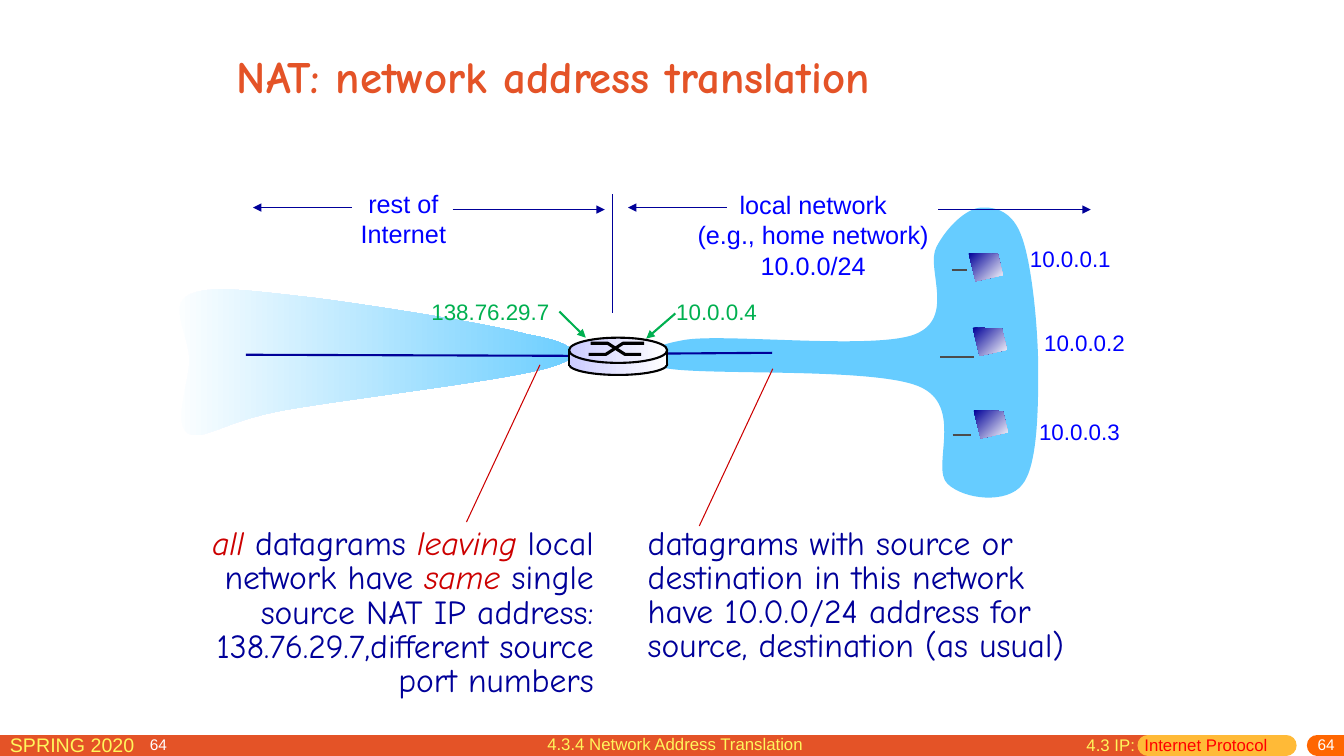
import pptx
import pptx.util
import pptx.dml.color
import pptx.enum.shapes
import pptx.enum.text
import pptx.oxml.ns
from lxml import etree

Pt = pptx.util.Pt
qn = pptx.oxml.ns.qn
ALIGN = pptx.enum.text.PP_ALIGN
ANCHOR = pptx.enum.text.MSO_ANCHOR
FIT = pptx.enum.text.MSO_AUTO_SIZE
SHAPE = pptx.enum.shapes.MSO_SHAPE
COLORS = {
    "orange": "E45327", "gold": "FFBA37", "badge": "FF6600", "lemon": "FFF65C",
    "white": "FFFFFF", "black": "000000", "sky": "66CCFF", "lilac": "CCCCFF",
    "navy": "000099", "blue": "0000FF", "green": "00B050", "gray": "4C4C4C",
    "crimson": "CC0000", "red": "FF0000",
}


def rgb(name):
    """Return the named colour."""
    return pptx.dml.color.RGBColor.from_string(COLORS[name])


def write(tf, paragraphs, size=16, color="blue", font="Arial", bold=False,
          align=ALIGN.LEFT, spacing=None, anchor=ANCHOR.TOP, wrap=True, grow=False):
    """Fill a text frame; each paragraph is a list of (text, format) runs."""
    tf.word_wrap = wrap
    tf.auto_size = FIT.SHAPE_TO_FIT_TEXT if grow else FIT.NONE
    tf.vertical_anchor = anchor
    for i, runs in enumerate(paragraphs):
        p = tf.paragraphs[0] if i == 0 else tf.add_paragraph()
        p.alignment = align
        p.line_spacing = spacing
        for words, fmt in runs:
            r = p.add_run()
            r.text = words
            r.font.name, r.font.size, r.font.bold = font, Pt(size), bold
            r.font.italic = fmt.get("italic", False)
            r.font.color.rgb = rgb(fmt.get("color", color))


def text(shapes, box, *lines, **fmt):
    """Add a text box holding one paragraph per line."""
    tf = shapes.add_textbox(*map(Pt, box)).text_frame
    write(tf, [[(t, {})] if isinstance(t, str) else t for t in lines], **fmt)
    return tf


def line(shapes, x1, y1, x2, y2, color="navy", width=1.5, arrow=False, cap="flat"):
    """Add a straight line, with an arrowhead at its end if asked."""
    c = shapes.add_connector(pptx.enum.shapes.MSO_CONNECTOR.STRAIGHT,
                             Pt(x1), Pt(y1), Pt(x2), Pt(y2))
    c.line.color.rgb = rgb(color)
    c.line.width = Pt(width)
    ln = c.element.spPr.find(qn("a:ln"))
    ln.set("cap", cap)
    if arrow:
        etree.SubElement(ln, qn("a:tailEnd")).set("type", "triangle")
    etree.SubElement(c.element.spPr, qn("a:effectLst"))


def paint(sp, fill=None, angle=0, outline=None, width=1.5):
    """Set a plain, two-colour or empty fill and the outline of a shape."""
    sp.shadow.inherit = False
    if fill is None:
        sp.fill.background()
    elif isinstance(fill, tuple):
        sp.fill.gradient()
        sp.fill.gradient_angle = angle
        for stop, name in zip(sp.fill.gradient_stops, fill):
            stop.color.rgb = rgb(name)
    else:
        sp.fill.solid()
        sp.fill.fore_color.rgb = rgb(fill)
    if outline:
        sp.line.color.rgb = rgb(outline)
        sp.line.width = Pt(width)
    else:
        sp.line.fill.background()


def outline(shapes, x, y, points, close=True, **look):
    """Draw a straight-sided outline through points measured from (x, y)."""
    pts = [(Pt(x + dx), Pt(y + dy)) for dx, dy in points]
    fb = shapes.build_freeform(*pts[0], scale=1.0)
    fb.add_line_segments(pts[1:], close=close)
    sp = fb.convert_to_shape()
    paint(sp, **look)
    return sp


def blob(shapes, x, y, start, curves, **look):
    """Draw a closed outline of cubic curves, each two controls and an end."""
    points = [start] + [c[i:i + 2] for c in curves for i in (0, 2, 4)]
    sp = outline(shapes, x, y, points, **look)
    sides = list(sp.element.iter(qn("a:lnTo")))
    for trio in zip(sides[::3], sides[1::3], sides[2::3]):
        bend = etree.Element(qn("a:cubicBezTo"))
        trio[0].addprevious(bend)
        for side in trio:
            bend.append(side[0])
            side.getparent().remove(side)


def title(s, box):
    """Place the slide title."""
    sp = s.shapes.title
    sp.left, sp.top, sp.width, sp.height = map(Pt, box)
    write(sp.text_frame, [[("NAT: network address translation", {})]], size=32,
          color="orange", font="Comic Neue", bold=True, anchor=ANCHOR.MIDDLE)


def footer(s, x, y):
    """Draw the footer bar and its labels from its top left corner."""
    for x1, x2, color, cap in ((-13, 820, "orange", "flat"), (820, 918.7, "gold", "rnd"),
                               (941, 979, "badge", "rnd")):
        line(s.shapes, x + x1, y + 7.5, x + x2, y + 7.5, color, 15, cap=cap)
    text(s.shapes, (x, y - 5, 165, 22.3), "SPRING 2020", size=14, color="lemon")
    for dx, dy, w, h, align in ((774, 2.2, 186.5, 13, ALIGN.RIGHT),
                                (100, 2.9, 39.6, 10.8, ALIGN.LEFT)):
        tf = text(s.shapes, (x + dx, y + dy, w, h), "64", size=11, color="white",
                  align=align, anchor=ANCHOR.MIDDLE)
        tf.margin_top = 0
    text(s.shapes, (x + 769, y - 3.5, 158.4, 22.3),
         [("4.3 IP: ", {}), (" Internet Protocol", {"color": "red"})],
         size=12, color="lemon")
    text(s.shapes, (x + 383.8, y - 4.2, 231, 22.3), "4.3.4 Network Address Translation",
         size=12, color="lemon")


def internet(s, x, y):
    """Draw the fading outside network and its link."""
    blob(s.shapes, x, y, (257, 36), [
        (228.2, 28.1, 141.1, 14.4, 100.8, 9.4), (60.5, 5, 28.8, 0, 14.4, 7.9),
        (0, 15.1, 15.1, 37.4, 15.1, 54), (15.1, 70.6, 2.9, 100.1, 14.4, 106.6),
        (25.2, 112.3, 39.6, 97.9, 82.8, 90), (126, 82.1, 244.8, 68.4, 273.6, 59),
        (303.1, 50.4, 286.6, 41, 257, 36)], fill=("white", "sky"))
    line(s.shapes, x + 55.5, y + 50.4, x + 293.8, y + 51.2)


def local_network(s, x, y):
    """Draw the local network with its link and hosts."""
    blob(s.shapes, x, y, (43.2, 95), [
        (73.4, 90.7, 176.4, 102.2, 205.9, 91.4), (236.2, 79.9, 213.8, 43.9, 221.8, 28.8),
        (229.7, 13.7, 243.4, 1.4, 253.4, 0.7), (263.5, 0, 276.5, 2.9, 283, 22.3),
        (290.2, 42.5, 294.5, 87.8, 294.5, 117.4), (294.5, 146.9, 293.8, 185.8, 283, 198.7),
        (272.2, 212.4, 241.9, 209.5, 229.7, 198), (217.4, 186.5, 242.6, 141.8, 208.8, 128.2),
        (175, 114.5, 54.7, 121, 27.4, 115.2), (0, 109.4, 15.8, 99.4, 43.2, 95)], fill="sky")
    line(s.shapes, x + 8.6, y + 105.1, x + 104.4, y + 104.4)
    hosts = (((244.8, 33.1), (232.6, 243.4, 45.4), (281.5, 23.8)),
             ((247.7, 86.4), (224.7, 248.4, 107.3), (291.6, 84.2)),
             ((248.4, 145.4), (233.3, 246.3, 163.4), (288, 147.6)))
    for n, ((mx, my), (x1, x2, wy), (tx, ty)) in enumerate(hosts, 1):
        line(s.shapes, x + x1, y + wy, x + x2, y + wy, "gray")
        outline(s.shapes, x + mx, y + my, [(0, 0), (20.9, 0.7), (24.5, 15.8), (5, 20.2)],
                fill=("navy", "white"), angle=315)
        text(s.shapes, (x + tx, y + ty, 72.7, 26.6), f"10.0.0.{n}", wrap=False, grow=True)


def router(s, x, y, w):
    """Draw the router as a group of the given width."""
    shapes = s.shapes.add_group_shape().shapes
    for kind, dy, h, edge in ((SHAPE.OVAL, 11.5, 15.1, "black"),
                              (SHAPE.RECTANGLE, 10.1, 9.4, None),
                              (SHAPE.OVAL, 0, 18, "black")):
        sp = shapes.add_shape(kind, Pt(x), Pt(y + dy), Pt(w), Pt(h))
        paint(sp, fill=("lilac", "white"), outline=edge)
    for xs, y1, y2 in (((14.1, 26.4, 38.6, 53.7), 11.9, 4), ((15.5, 27.7, 40, 51.5), 4, 11.9)):
        outline(shapes, x, y, list(zip(xs, (y1, y1, y2, y2))), close=False,
                outline="black", width=2.25)
    for side in (x, x + w):
        line(shapes, side, y + 8.3, side, y + 20.2, "black")


def scopes(s, x, y):
    """Label the two sides of the router with spans around a divider."""
    for x1, x2, dy in ((489.6, 598.4, 11), (338.4, 267.9, 9.6),
                       (142.6, 251.3, 11), (70.6, 0, 9.6)):
        line(s.shapes, x + x1, y + dy, x + x2, y + dy, width=0.75, arrow=True)
    line(s.shapes, x + 257, y, x + 257, y + 85, width=0.75)
    style = dict(size=18, align=ALIGN.CENTER, wrap=False, grow=True)
    text(s.shapes, (x + 310.5, y - 6.9, 179.3, 72), "local network",
         "(e.g., home network)", "10.0.0/24", **style)
    text(s.shapes, (x + 69.6, y - 7.7, 75.6, 50.4), "rest of", "Internet", **style)


def interfaces(s, x, y):
    """Label both router addresses with arrows."""
    for dx, w, address in ((0, 99.4, "138.76.29.7"), (174.9, 72.7, "10.0.0.4")):
        text(s.shapes, (x + dx, y, w, 26.6), address, color="green", wrap=False, grow=True)
    for x1, y1, x2, y2 in ((98.6, 13, 117.4, 31.7), (181.4, 14.4, 160.6, 32.4)):
        line(s.shapes, x + x1, y + y1, x + x2, y + y2, "green", arrow=True)


def notes(s, x, y):
    """Write the two explanations with their pointers."""
    style = dict(size=24, color="navy", font="Comic Neue", spacing=0.85, grow=True)
    key = {"color": "crimson", "italic": True}
    text(s.shapes, (x + 335.4, y - 0.3, 341.3, 105.8), "datagrams with source or",
         "destination in this network", "have 10.0.0/24 address for",
         "source, destination (as usual)", wrap=False, **style)
    text(s.shapes, (x, y, 311, 131),
         [("all ", key), ("datagrams ", {}), ("leaving ", key), ("local", {})],
         [("network have ", {}), ("same ", key),
          ("single source NAT IP address: 138.76.29.7,different source port numbers", {})],
         align=ALIGN.RIGHT, **style)
    for dx, dy in ((379.3, 2), (213, -0.8)):
        line(s.shapes, x + dx, y + dy, x + dx + 52.5, y + dy - 112.3, "crimson", 0.75)


def main():
    """Build and save the slide."""
    prs = pptx.Presentation()
    prs.slide_width, prs.slide_height = Pt(960), Pt(540)
    s = prs.slides.add_slide(prs.slide_layouts[5])
    footer(s, 0, 524.8)
    title(s, (162, 18, 637.2, 71.3))
    local_network(s, 447.1, 147.6)
    internet(s, 120.2, 203)
    interfaces(s, 301, 209.5)
    scopes(s, 180.7, 138.7)
    notes(s, 120.2, 373.7)
    router(s, 406.4, 241.2, 70.2)
    prs.save("out.pptx")


if __name__ == "__main__":
    main()
